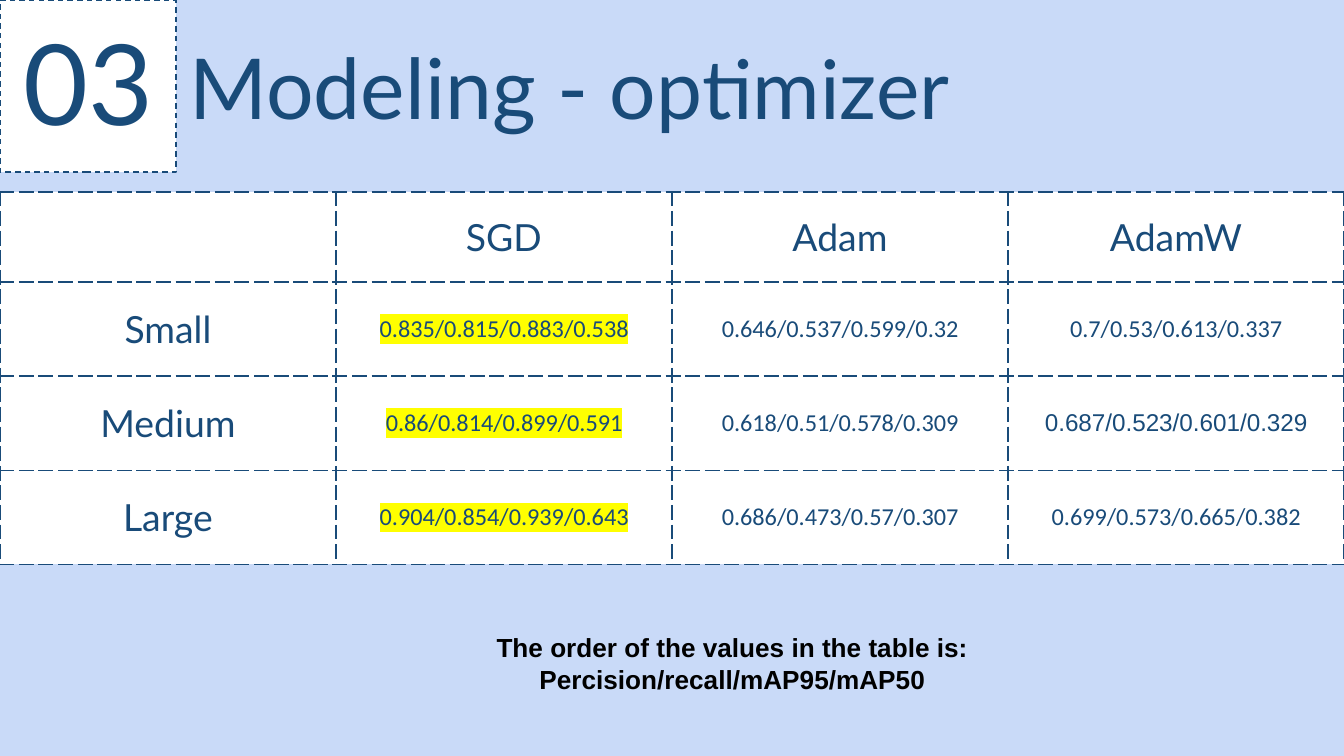
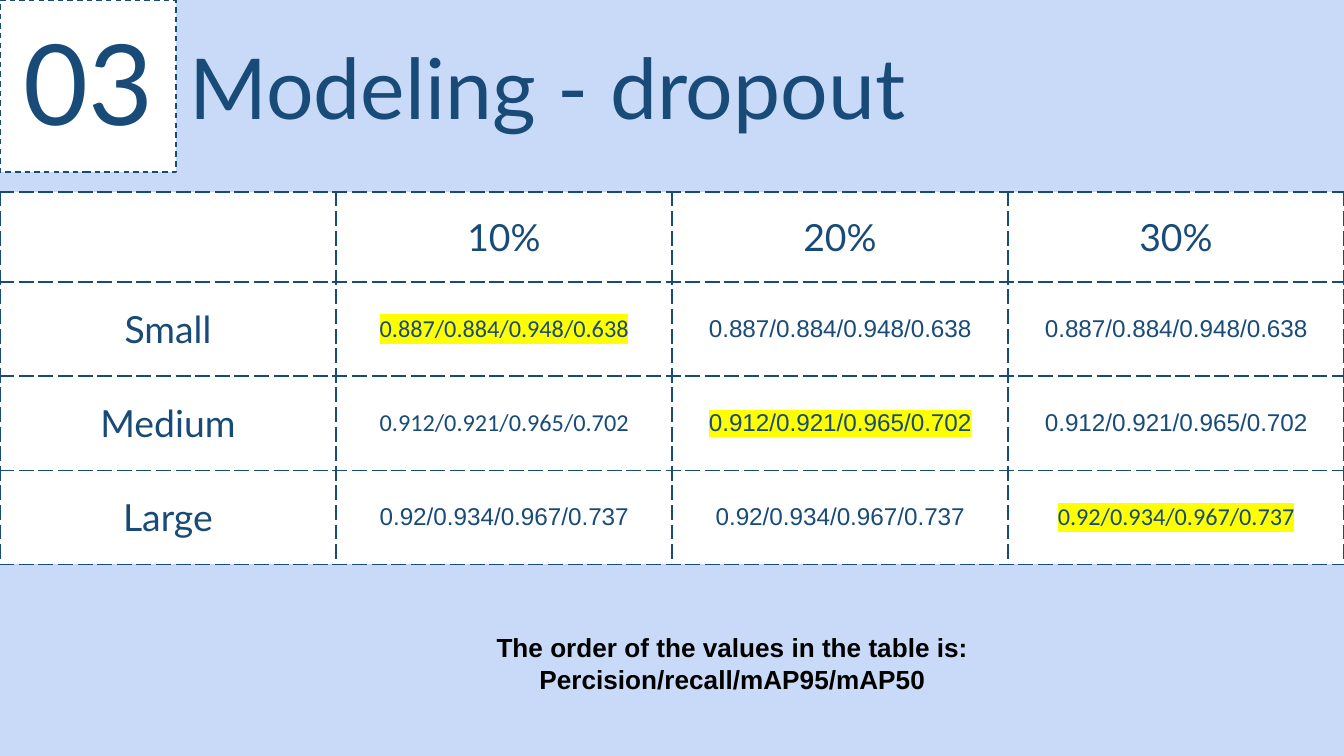
from dataclasses import dataclass

from lxml.etree import SubElement
from pptx import Presentation
from pptx.dml.color import RGBColor
from pptx.enum.dml import MSO_LINE_DASH_STYLE as Dash
from pptx.enum.shapes import MSO_SHAPE as Preset
from pptx.enum.text import MSO_ANCHOR as Anchor, MSO_AUTO_SIZE as AutoSize, PP_ALIGN as Align
from pptx.oxml import parse_xml
from pptx.oxml.ns import nsdecls, qn
from pptx.util import Inches, Pt


@dataclass(frozen=True)
class Theme:
    background: str = "C9DAF8"
    panel: str = "FFFFFF"
    ink: str = "194B79"
    note_ink: str = "000000"
    best: str = "FFFF00"
    heading_font: str = "Lato"
    score_font: str = "Calibri"
    plain_font: str = "Arial"
    number_size: float = 60
    title_size: float = 45
    title_end_size: float = 44
    label_size: float = 20
    note_size: float = 14
    score_size: float = 13
    box_line: float = 0.75
    grid_line: float = 0.95


THEME = Theme()
TITLE_ONLY = 5
SLIDE_WIDTH = Inches(10)
SLIDE_HEIGHT = SLIDE_WIDTH * 9 // 16
HEADER_HEIGHT = Inches(1.28)
NUMBER_WIDTH = Inches(1.31)
TABLE_TOP = Inches(1.43)
COLUMN_WIDTH = Inches(2.5)
TOP_ROW_HEIGHT, ROW_HEIGHT = Inches(0.67), Inches(0.7)
MODEL_SIZES = ("Small", "Medium", "Large")
NOTE = "The order of the values in the table is: Percision/recall/mAP95/mAP50"


@dataclass(frozen=True)
class Score:
    text: str
    best: bool = False
    font: str = THEME.score_font


@dataclass(frozen=True)
class ResultSlide:
    title_runs: tuple[tuple[str, float], ...]
    title_width: float
    settings: tuple[str, ...]
    scores: tuple[tuple[Score, ...], ...]


def plain(text: str, best: bool = False) -> Score:
    return Score(text, best, THEME.plain_font)


SLIDES = (
    ResultSlide(
        (("Modeling - ", THEME.title_size), ("optimizer", THEME.title_end_size)), 6.55,
        ("SGD", "Adam", "AdamW"),
        (
            (Score("0.835/0.815/0.883/0.538", best=True),
             Score("0.646/0.537/0.599/0.32"), Score("0.7/0.53/0.613/0.337")),
            (Score("0.86/0.814/0.899/0.591", best=True),
             Score("0.618/0.51/0.578/0.309"), plain("0.687/0.523/0.601/0.329")),
            (Score("0.904/0.854/0.939/0.643", best=True),
             Score("0.686/0.473/0.57/0.307"), Score("0.699/0.573/0.665/0.382")),
        ),
    ),
    ResultSlide(
        (("Modeling - dropout", THEME.title_size),), 5.79,
        ("10%", "20%", "30%"),
        (
            (Score("0.887/0.884/0.948/0.638", best=True),
             plain("0.887/0.884/0.948/0.638"), plain("0.887/0.884/0.948/0.638")),
            (Score("0.912/0.921/0.965/0.702"),
             plain("0.912/0.921/0.965/0.702", best=True), plain("0.912/0.921/0.965/0.702")),
            (plain("0.92/0.934/0.967/0.737"),
             plain("0.92/0.934/0.967/0.737"), Score("0.92/0.934/0.967/0.737", best=True)),
        ),
    ),
)


def rgb(color: str) -> RGBColor:
    return RGBColor.from_string(color)


def paint(target, color: str) -> None:
    target.fill.solid()
    target.fill.fore_color.rgb = rgb(color)


def write(paragraph, text: str, *, size: float, font: str = THEME.heading_font,
          color: str = THEME.ink, bold: bool = False, align=Align.CENTER,
          highlight: str | None = None) -> None:
    """Add one formatted run to a paragraph."""
    paragraph.alignment = align
    run = paragraph.add_run()
    run.text = text
    run.font.size = Pt(size)
    run.font.bold = bold
    run.font.color.rgb = rgb(color)
    if highlight:
        mark = SubElement(run.font._element, qn("a:highlight"))
        SubElement(mark, qn("a:srgbClr"), val=highlight)
    run.font.name = font


def set_frame(frame, anchor) -> None:
    frame.word_wrap = True
    frame.auto_size = AutoSize.NONE
    frame.vertical_anchor = anchor
    frame.margin_left = frame.margin_right = Inches(0.1)
    frame.margin_top = frame.margin_bottom = Inches(0.1)


def add_header(slide, content: ResultSlide) -> None:
    # Title beside the section number
    title = slide.shapes.title
    title.left, title.top = NUMBER_WIDTH, 0
    title.width, title.height = Inches(content.title_width), HEADER_HEIGHT
    paint(title, THEME.background)
    set_frame(title.text_frame, Anchor.MIDDLE)
    for text, size in content.title_runs:
        write(title.text_frame.paragraphs[0], text, size=size, align=Align.LEFT)

    # Section number in a dashed box
    box = slide.shapes.add_shape(Preset.RECTANGLE, 0, 0, NUMBER_WIDTH, HEADER_HEIGHT)
    box.shadow.inherit = False
    paint(box, THEME.panel)
    box.line.color.rgb = rgb(THEME.ink)
    box.line.width = Pt(THEME.box_line)
    box.line.dash_style = Dash.DASH
    set_frame(box.text_frame, Anchor.TOP)
    write(box.text_frame.paragraphs[0], "03", size=THEME.number_size)


def style_cell(cell) -> None:
    paint(cell, THEME.panel)
    cell.vertical_anchor = Anchor.MIDDLE
    cell.margin_left = cell.margin_right = Inches(0.1)
    cell.margin_top = cell.margin_bottom = Inches(0.07)
    properties = cell._tc.get_or_add_tcPr()
    for position, side in enumerate(("lnL", "lnR", "lnT", "lnB")):
        properties.insert(position, parse_xml(
            f'<a:{side} {nsdecls("a")} w="{Pt(THEME.grid_line)}"><a:solidFill>'
            f'<a:srgbClr val="{THEME.ink}"/></a:solidFill>'
            f'<a:prstDash val="dash"/></a:{side}>'))


def add_results(slide, content: ResultSlide) -> None:
    row_count, column_count = len(MODEL_SIZES) + 1, len(content.settings) + 1
    table = slide.shapes.add_table(
        row_count, column_count, 0, TABLE_TOP, COLUMN_WIDTH * column_count,
        TOP_ROW_HEIGHT + ROW_HEIGHT * len(MODEL_SIZES)).table
    table.first_row = table.horz_banding = False
    for column in table.columns:
        column.width = COLUMN_WIDTH
    for index, row in enumerate(table.rows):
        row.height = ROW_HEIGHT if index else TOP_ROW_HEIGHT
    for cell in table.iter_cells():
        style_cell(cell)

    # Column and row labels
    for column, setting in enumerate(content.settings, 1):
        write(table.cell(0, column).text_frame.paragraphs[0], setting, size=THEME.label_size)
    for row, (model_size, scores) in enumerate(zip(MODEL_SIZES, content.scores), 1):
        write(table.cell(row, 0).text_frame.paragraphs[0], model_size, size=THEME.label_size)
        # Scores, with the best ones marked
        for column, score in enumerate(scores, 1):
            write(table.cell(row, column).text_frame.paragraphs[0], score.text,
                  size=THEME.score_size, font=score.font,
                  highlight=THEME.best if score.best else None)


def add_note(slide) -> None:
    box = slide.shapes.add_textbox(Inches(3.37), Inches(4.65), Inches(4.16), Inches(0.57))
    box.text_frame.word_wrap = True
    box.text_frame.auto_size = AutoSize.SHAPE_TO_FIT_TEXT
    write(box.text_frame.paragraphs[0], NOTE, size=THEME.note_size,
          font=THEME.plain_font, color=THEME.note_ink, bold=True)


def main() -> None:
    presentation = Presentation()
    presentation.slide_width, presentation.slide_height = SLIDE_WIDTH, SLIDE_HEIGHT
    paint(presentation.slide_master.background, THEME.background)
    for content in SLIDES:
        slide = presentation.slides.add_slide(presentation.slide_layouts[TITLE_ONLY])
        add_header(slide, content)
        add_results(slide, content)
        add_note(slide)
    presentation.save("out.pptx")


if __name__ == "__main__":
    main()
